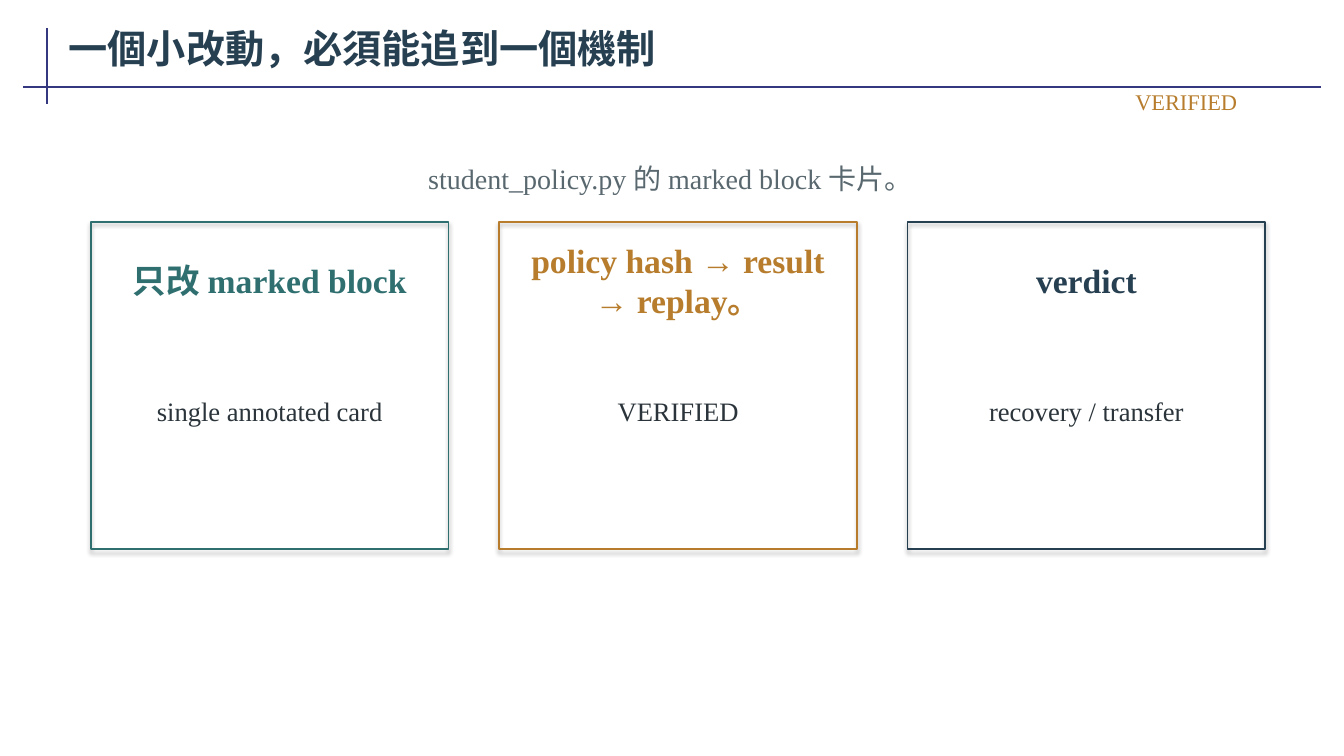
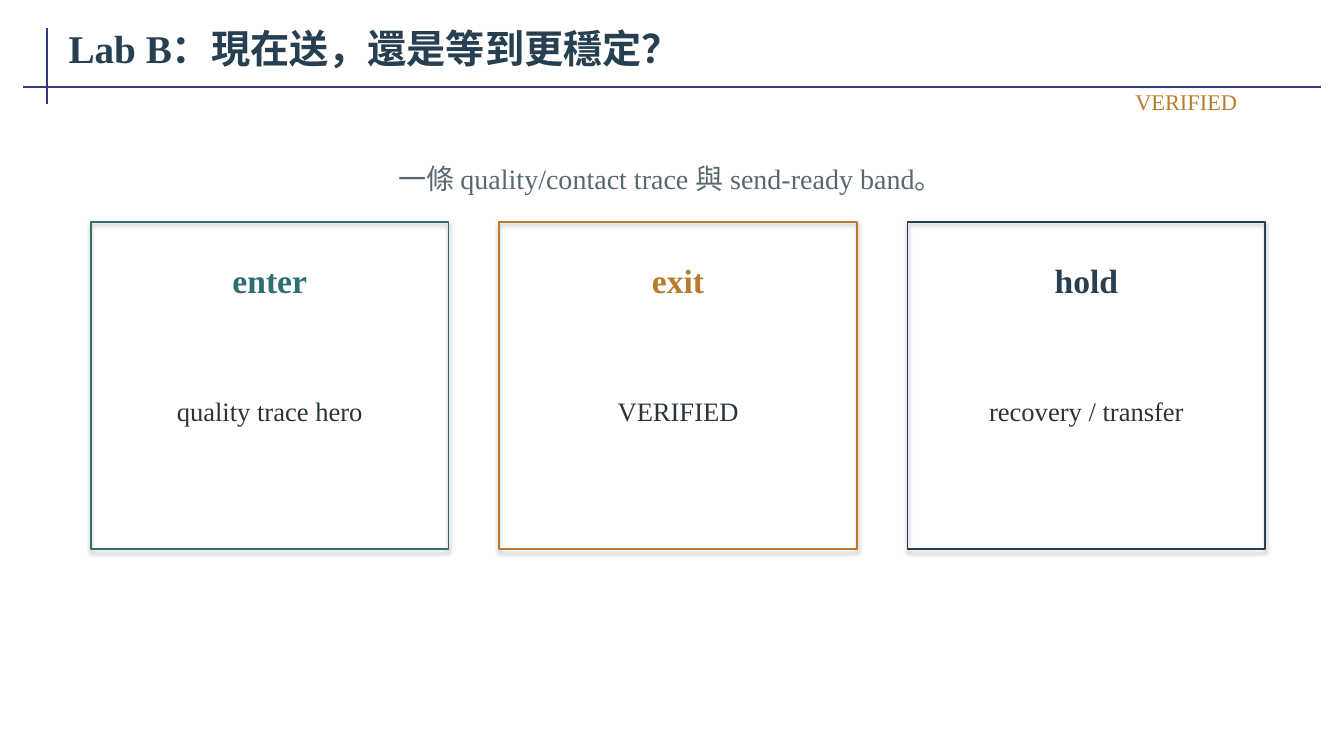
from lxml.etree import SubElement
from pptx import Presentation
from pptx.dml.color import RGBColor
from pptx.enum.shapes import MSO_CONNECTOR, MSO_SHAPE
from pptx.enum.text import MSO_ANCHOR, MSO_AUTO_SIZE, PP_ALIGN
from pptx.oxml.ns import qn
from pptx.util import Emu, Pt

# Shared style: 100 px to the inch
COLORS = {
    "rule": "35377F",
    "navy": "263F51",
    "teal": "2F6F70",
    "ochre": "B77D2D",
    "gray": "59686F",
    "body": "2A343A",
}
FONT = "Times New Roman"
CARD_COLORS = ("teal", "ochre", "navy")
CARD_LEFT, CARD_TOP, CARD_WIDTH, CARD_HEIGHT, CARD_GAP = 90, 220, 355, 325, 50

# Content: title, subtitle, then heading and body of each card
SLIDES = [
    (
        "一個小改動，必須能追到一個機制",
        "student_policy.py 的 marked block 卡片。",
        [
            ("只改 marked block", "single annotated card"),
            ("policy hash → result → replay。", "VERIFIED"),
            ("verdict", "recovery / transfer"),
        ],
    ),
    (
        "Lab B：現在送，還是等到更穩定？",
        "一條 quality/contact trace 與 send-ready band。",
        [
            ("enter", "quality trace hero"),
            ("exit", "VERIFIED"),
            ("hold", "recovery / transfer"),
        ],
    ),
]


def px(value):
    return Emu(value * 9144)


def color(name):
    return RGBColor.from_string(COLORS[name])


def write_text(shape, text, *, size, color_name, bold=False,
               align=PP_ALIGN.CENTER, auto_size=MSO_AUTO_SIZE.SHAPE_TO_FIT_TEXT):
    frame = shape.text_frame
    frame.word_wrap = True
    frame.auto_size = auto_size
    frame.vertical_anchor = MSO_ANCHOR.MIDDLE
    frame.margin_left = frame.margin_right = px(8)
    frame.margin_top = frame.margin_bottom = px(4)
    paragraph = frame.paragraphs[0]
    paragraph.alignment = align
    run = paragraph.add_run()
    run.text = text
    run.font.name = FONT
    run.font.size = Pt(size)
    run.font.bold = bold
    run.font.color.rgb = color(color_name)


def add_text(slide, box, text, **text_format):
    shape = slide.shapes.add_textbox(*map(px, box))
    write_text(shape, text, **text_format)


def add_title(slide, text):
    title = slide.shapes.title
    title.left, title.top, title.width, title.height = map(px, (60, 16, 1251, 62))
    write_text(title, text, size=28, color_name="navy", bold=True,
               align=PP_ALIGN.LEFT, auto_size=MSO_AUTO_SIZE.NONE)


def add_rule(slide, *ends):
    rule = slide.shapes.add_connector(MSO_CONNECTOR.STRAIGHT, *map(px, ends))
    rule.line.color.rgb = color("rule")
    rule.line.width = Pt(1.5)
    SubElement(rule.element.spPr, qn("a:effectLst"))
    return rule


def move_to_layout(shapes, layout):
    for shape_id, shape in enumerate(shapes, start=101):
        shape.element.nvCxnSpPr.cNvPr.set("id", str(shape_id))
        layout.shapes.element.append(shape.element)


def add_card(slide, left, color_name, heading, body):
    card = slide.shapes.add_shape(
        MSO_SHAPE.RECTANGLE, *map(px, (left, CARD_TOP, CARD_WIDTH, CARD_HEIGHT)))
    # The card keeps the soft shadow of the theme
    card.fill.background()
    card.line.color.rgb = color(color_name)
    card.line.width = Pt(1.2)
    add_text(slide, (left + 15, CARD_TOP + 25, 325, 65), heading,
             size=24, color_name=color_name, bold=True)
    add_text(slide, (left + 20, CARD_TOP + 110, 315, 155), body,
             size=19, color_name="body")


def build_slide(presentation, layout, title, subtitle, cards):
    slide = presentation.slides.add_slide(layout)
    add_title(slide, title)
    add_text(slide, (90, 148, 1150, 58), subtitle, size=20, color_name="gray")
    for index, (color_name, card) in enumerate(zip(CARD_COLORS, cards)):
        add_card(slide, CARD_LEFT + index * (CARD_WIDTH + CARD_GAP), color_name, *card)
    add_text(slide, (915, 86, 320, 30), "VERIFIED", size=16,
             color_name="ochre", align=PP_ALIGN.RIGHT)
    return slide


def main():
    presentation = Presentation()
    presentation.slide_width, presentation.slide_height = px(1333), px(750)
    layout = presentation.slide_layouts.get_by_name("Title Only")
    slides = [build_slide(presentation, layout, *content) for content in SLIDES]

    # Title rules, shared through the layout
    rules = [add_rule(slides[0], 47, 28, 47, 103),
             add_rule(slides[0], 23, 86, 1310, 86)]
    move_to_layout(rules, layout)
    presentation.save("out.pptx")


if __name__ == "__main__":
    main()
